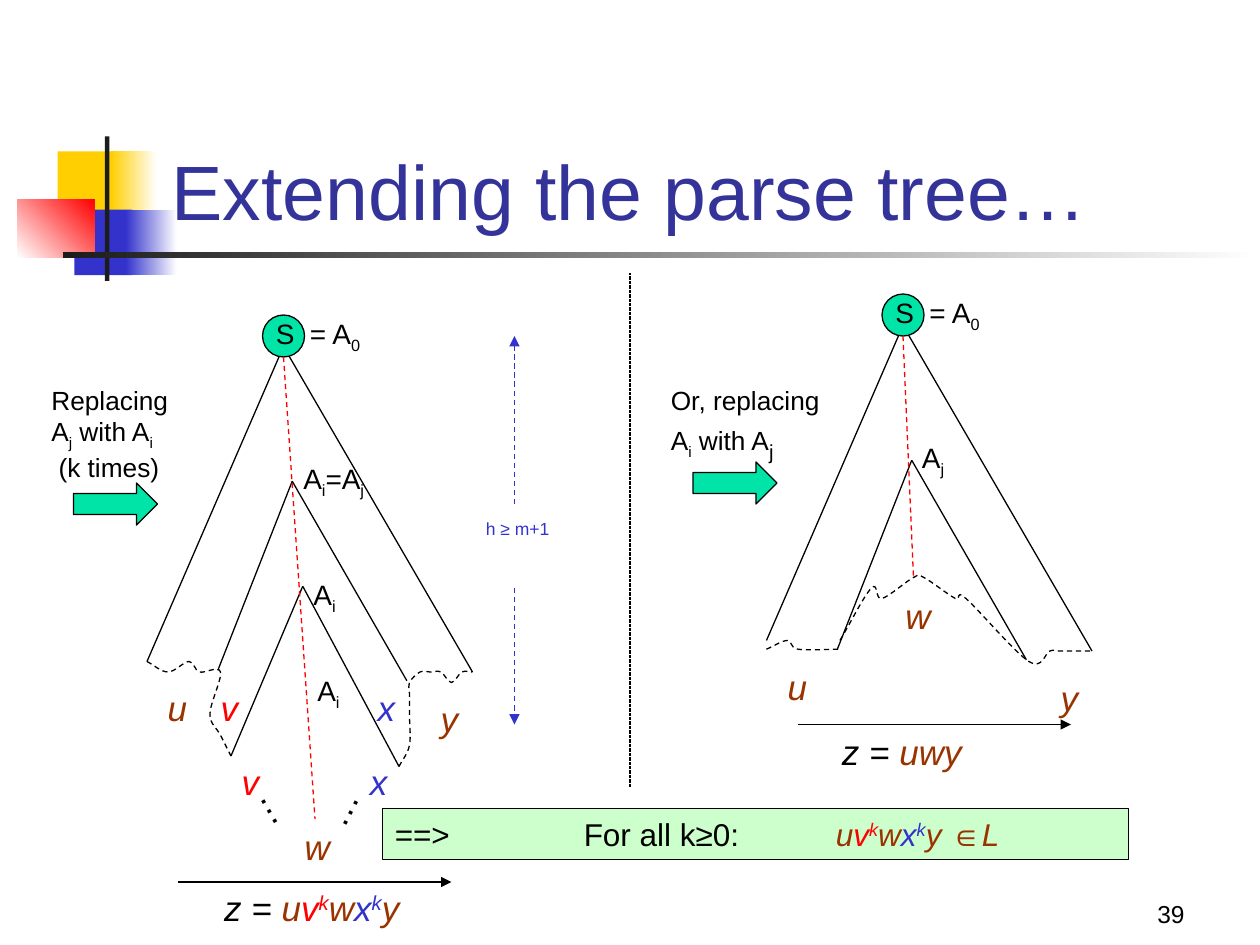
from dataclasses import dataclass
from lxml.etree import SubElement
from pptx import Presentation
from pptx.dml.color import RGBColor
from pptx.enum.dml import MSO_LINE
from pptx.enum.shapes import MSO_CONNECTOR, MSO_SHAPE
from pptx.enum.text import MSO_ANCHOR, PP_ALIGN
from pptx.oxml.ns import qn
from pptx.util import Pt


@dataclass(frozen=True)
class Theme:
    font: str = "Arial"
    black: str = "000000"
    dark: str = "1C1C1C"
    white: str = "FFFFFF"
    gold: str = "FFCF01"
    blue: str = "3333CC"
    navy: str = "333399"
    red: str = "FF0000"
    brown: str = "993300"
    green: str = "00E4A8"
    mint: str = "CCFFCC"
    title: int = 44
    word: int = 20
    rule: int = 18
    node: int = 16
    note: int = 15
    page: int = 14
    small: int = 10
    line: float = 0.75


T = Theme()
SUB, SUP = -25000, 30000


# Runs are (text, colour, baseline, size); "\n" is a line break
def sym(name, index):
    return [(name,), (index, T.black, SUB)]


PUMPED = [("u", T.brown), ("v", T.red), ("k", T.red, SUP), ("w", T.brown),
          ("x", T.blue), ("k", T.blue, SUP)]

# Master decoration: left, top, width, height, colours, gradient angle
DECOR = [
    (33, 86.5, 34.5, 37.5, [T.gold], 0),
    (63.5, 86.5, 26, 37.5, [T.gold, T.white], 0),
    (42.5, 119.75, 33, 37.5, [T.blue], 0),
    (72, 119.75, 29, 37.5, [T.blue, T.white], 0),
    (10, 114, 44, 33, [T.white, T.red], 45),
    (60, 78, 2.5, 82.5, [T.dark], 0),
    (36, 144, 684, 3.5, [T.dark, T.white], 0),
]

# Lines of a tree, measured from the centre of its root
TREE = [((0, 6), (-78, 186)), ((0, 6), (108, 192)),
        ((5, 83), (-37.5, 191)), ((5, 83), (70.5, 197))]
ROOTS = [(162, 192), (516, 180)]
INNER = [((173, 335), (132, 432)), ((173, 335), (228, 438))]
PATHS = [((162, 204), (180, 468)), ((516, 192), (522, 330))]
SPANS = [((102, 504), (258, 504)), ((456, 414), (612, 414))]
HEIGHT = [((294, 288), (294, 192)), ((294, 336), (294, 414))]

# Knots of the dashed tree edges
EDGES = [
    [(84, 378), (96, 384), (108, 378), (114, 384), (126, 384), (120, 408),
     (126, 420), (132, 432)],
    [(228, 438), (234, 426), (234, 408), (234, 396), (234, 390), (240, 384),
     (246, 384), (252, 384), (258, 390), (264, 384), (270, 384)],
    [(438, 371), (450, 366), (456, 371), (480, 371)],
    [(480, 366), (498, 336), (504, 342), (522, 330), (528, 330), (546, 342),
     (552, 342), (588, 378), (600, 372), (606, 372), (624, 372)],
]

# Yield letters: text, colour, left, top, width
WORDS = [
    ("u", T.brown, 88.75, 389, 25), ("v", T.red, 119, 389, 24.5),
    ("x", T.blue, 208.75, 389, 24.5), ("y", T.brown, 244.75, 394.75, 24.5),
    ("v", T.red, 131, 430.75, 24.5), ("x", T.blue, 204.25, 430.75, 24.5),
    ("w", T.brown, 167, 468, 29), ("u", T.brown, 443, 376.5, 25),
    ("w", T.brown, 510.25, 336, 29), ("y", T.brown, 599, 383, 24.5),
]
# Node labels: runs, left, top, width
NODES = [
    (sym("A", "i") + sym("=A", "j"), 166.25, 260, 49), (sym("A", "i"), 172, 326.25, 27),
    (sym("A", "i"), 174.25, 381.5, 27), (sym("A", "j"), 519.75, 248.25, 27),
]
NOTES = [
    ([[("Replacing ",), ("\n",)] + sym("A", "j") + sym(" with A", "i"),
      [(" (k times)",)]], 22.25, 90, 64),
    ([[("Or, replacing ",), ("\n",)] + sym("A", "i")
      + [(" with A",), ("j", T.black, SUB, T.word)]], 376.25, 106, 52.5),
]
ARROWS = [(42, 276), (396, 264)]
DOTS = [(142.5, 445, 59.7), (177.25, 445.5, 297.1)]

deck = Presentation()
deck.slide_width, deck.slide_height = Pt(720), Pt(540)
slide = deck.slides.add_slide(deck.slide_layouts[6])
shapes = slide.shapes


def rgb(code):
    return RGBColor.from_string(code)


def write(shape, paras, size, italic=False, wrap=False, align=PP_ALIGN.LEFT,
          anchor=MSO_ANCHOR.TOP):
    frame = shape.text_frame
    frame.word_wrap, frame.vertical_anchor = wrap, anchor
    for n, runs in enumerate(paras):
        para = frame.add_paragraph() if n else frame.paragraphs[0]
        para.alignment = align
        for text, color, base, pts in ((*r, *(T.black, 0, size)[len(r) - 1:]) for r in runs):
            if text == "\n":
                para.add_line_break()
                continue
            run = para.add_run()
            run.text = text
            font = run.font
            font.name, font.size, font.italic = T.font, Pt(pts), italic
            font.color.rgb = rgb(color)
            if base:
                run._r.get_or_add_rPr().set("baseline", str(base))
    return shape


def label(box, paras, size, **style):
    return write(shapes.add_textbox(*map(Pt, box)), paras, size, **style)


def block(kind, box, color, edge=True):
    shape = shapes.add_shape(kind, *map(Pt, box))
    shape.shadow.inherit = False
    shape.fill.solid()
    shape.fill.fore_color.rgb = rgb(color)
    if edge:
        shape.line.color.rgb, shape.line.width = rgb(T.black), Pt(T.line)
    else:
        shape.line.fill.background()
    return shape


def link(ends, color=T.black, dash=None, head=False):
    start, stop = ends
    line = shapes.add_connector(MSO_CONNECTOR.STRAIGHT, *map(Pt, start + stop))
    line.line.color.rgb, line.line.width = rgb(color), Pt(T.line)
    line.line.dash_style = dash
    if head:
        SubElement(line.line._get_or_add_ln(), qn("a:tailEnd"), type="triangle")
    SubElement(line._element.spPr, qn("a:effectLst"))
    return line


def curve(knots):
    """Dashed Catmull-Rom curve: each segment becomes one cubic Bezier."""
    pen = shapes.build_freeform(*knots[0], scale=Pt(1))
    pen.add_line_segments(knots[1:], close=False)
    edge = pen.convert_to_shape()
    edge.shadow.inherit = False
    edge.fill.background()
    edge.line.color.rgb, edge.line.width = rgb(T.black), Pt(T.line)
    edge.line.dash_style = MSO_LINE.DASH

    left, top = min(x for x, _ in knots), min(y for _, y in knots)
    first, last = [tuple(2 * a - b for a, b in zip(*pair))
                   for pair in (knots[:2], knots[:-3:-1])]
    full = [first, *knots, last]
    track = edge._element.spPr.find(".//" + qn("a:path"))
    track.set("w", str(edge.width))
    track.set("h", str(edge.height))
    for part in list(track):
        track.remove(part)

    def add(tag, *points):
        node = SubElement(track, qn(tag))
        for x, y in points:
            SubElement(node, qn("a:pt"), x=str(Pt(x - left)), y=str(Pt(y - top)))

    add("a:moveTo", knots[0])
    for quad in zip(full, full[1:], full[2:], full[3:]):
        axes = list(zip(*quad))
        add("a:cubicBezTo", [b + (c - a) / 6 for a, b, c, d in axes],
            [c - (d - b) / 6 for a, b, c, d in axes], quad[2])


# Decoration, title and page number
for *box, colors, angle in DECOR:
    part = block(MSO_SHAPE.RECTANGLE, box, colors[0], edge=False)
    if len(colors) > 1:
        part.fill.gradient()
        part.fill.gradient_angle = angle
        for stop, color in zip(part.fill.gradient_stops, colors):
            stop.color.rgb = rgb(color)
label((91, 48.5, 613, 90), [[("Extending the parse tree…", T.navy)]], T.title,
      wrap=True, anchor=MSO_ANCHOR.BOTTOM)
label((534, 498, 150, 36), [[("39",)]], T.page, wrap=True,
      align=PP_ALIGN.RIGHT, anchor=MSO_ANCHOR.BOTTOM)

# Trees with their roots
for x, y in ROOTS:
    for ends in TREE:
        link([(x + dx, y + dy) for dx, dy in ends])
    root = block(MSO_SHAPE.OVAL, (x - 12, y - 12, 24, 24), T.green)
    write(root, [[("S",)]], T.node, align=PP_ALIGN.CENTER, anchor=MSO_ANCHOR.MIDDLE)
    root.text_frame.margin_top, root.text_frame.margin_bottom = 0, Pt(3)
    root.text_frame.margin_left, root.text_frame.margin_right = Pt(2), 0
    label((x + 8, y - 12, 46, 24), [sym("= A", "0")], T.node, anchor=MSO_ANCHOR.MIDDLE)
for ends in INNER:
    link(ends)
for ends in PATHS:
    link(ends, T.red, MSO_LINE.DASH)
for knots in EDGES:
    curve(knots)

# Height, spans and finely dotted divider
for ends in HEIGHT:
    link(ends, T.blue, MSO_LINE.DASH, head=True)
label((270.5, 292.5, 50.5, 19.5), [[("h ≥ m+1", T.blue)]], T.small, align=PP_ALIGN.CENTER)
for ends in SPANS:
    link(ends, head=True)
rule = link([(360, 156), (360, 450)])
dots = SubElement(rule.line._get_or_add_ln(), qn("a:custDash"))
SubElement(dots, qn("a:ds"), d="50000", sp="50000")

# Labels
for text, color, x, y, wide in WORDS:
    label((x, y, wide, 31.5), [[(text, color)]], T.word, italic=True)
for runs, x, y, wide in NODES:
    label((x, y, wide, 29.5), [runs], T.node)
for paras, x, wide, high in NOTES:
    label((x, 216, wide, high), paras, T.note)
for x, y in ARROWS:
    block(MSO_SHAPE.RIGHT_ARROW, (x, y, 48, 24), T.green)
for x, y, turn in DOTS:
    label((x, y, 34.5, 31.5), [[("…",)]], T.word).rotation = turn
label((121, 502.75, 114.5, 31.5), [[("z = ",), *PUMPED, ("y", T.brown)]], T.word, italic=True)
label((474, 414, 83, 31.5), [[("z = ",), ("uwy", T.brown)]], T.word, italic=True)

# Conclusion, with tab stops
bar = block(MSO_SHAPE.RECTANGLE, (218.5, 462, 426.25, 29), T.mint)
props = bar.text_frame.paragraphs[0]._p.get_or_add_pPr()
tabs = SubElement(props, qn("a:tabLst"))
for stop in (108, 252):
    SubElement(tabs, qn("a:tab"), pos=str(Pt(stop)), algn="l")
write(bar, [[("==> \tFor all k≥0: \t",), *PUMPED, ("y ∈L", T.brown)]], T.rule)
for run in bar.text_frame.paragraphs[0].runs[1:]:
    run.font.italic = True

deck.save("out.pptx")
